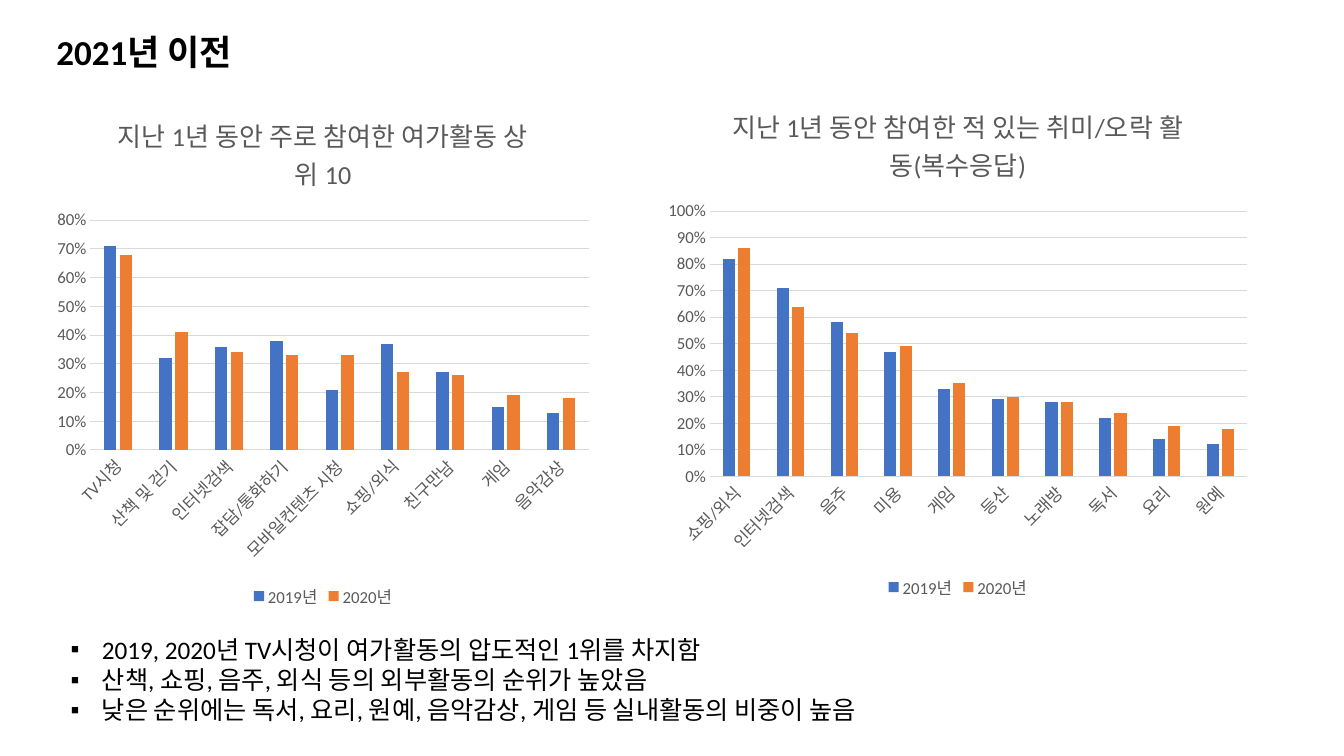
from lxml.etree import SubElement
from pptx import Presentation
from pptx.chart.data import CategoryChartData
from pptx.dml.color import RGBColor
from pptx.enum.chart import XL_CHART_TYPE as ChartType
from pptx.enum.chart import XL_LEGEND_POSITION as LegendPosition
from pptx.enum.chart import XL_TICK_MARK as TickMark
from pptx.enum.text import MSO_ANCHOR as Anchor
from pptx.enum.text import MSO_AUTO_SIZE as AutoSize
from pptx.enum.text import PP_ALIGN as Align
from pptx.oxml.ns import qn
from pptx.util import Inches, Pt

FONT = "Calibri"
BLACK, GRAY, RULE = "000000", "595959", "D9D9D9"
SERIES_COLORS = ["4472C4", "ED7D31"]

LEISURE = {
    "TV시청": (0.71, 0.68),
    "산책 및 걷기": (0.32, 0.41),
    "인터넷검색": (0.36, 0.34),
    "잡담/통화하기": (0.38, 0.33),
    "모바일컨텐츠 시청": (0.21, 0.33),
    "쇼핑/외식": (0.37, 0.27),
    "친구만남": (0.27, 0.26),
    "게임": (0.15, 0.19),
    "음악감상": (0.13, 0.18),
}
HOBBIES = {
    "쇼핑/외식": (0.82, 0.86),
    "인터넷검색": (0.71, 0.64),
    "음주": (0.58, 0.54),
    "미용": (0.47, 0.49),
    "게임": (0.33, 0.35),
    "등산": (0.29, 0.3),
    "노래방": (0.28, 0.28),
    "독서": (0.22, 0.24),
    "요리": (0.14, 0.19),
    "원예": (0.12, 0.18),
}
FINDINGS = [
    "2019, 2020년 TV시청이 여가활동의 압도적인 1위를 차지함",
    "산책, 쇼핑, 음주, 외식 등의 외부활동의 순위가 높았음",
    "낮은 순위에는 독서, 요리, 원예, 음악감상, 게임 등 실내활동의 비중이 높음",
]


def rgb(color):
    return RGBColor.from_string(color)


def set_font(font, size, color, bold=False):
    font.name = FONT
    font.size = Pt(size)
    font.bold = bold
    font.color.rgb = rgb(color)


def set_line(line, color):
    line.color.rgb = rgb(color)
    line.width = Pt(0.75)


def fill_placeholder(box, area, lines, size, bold=False):
    box.left, box.top, box.width, box.height = map(Inches, area)
    frame = box.text_frame
    frame.text = "\n".join(lines)
    frame.word_wrap = False
    frame.auto_size = AutoSize.NONE
    frame.vertical_anchor = Anchor.TOP
    for para in frame.paragraphs:
        para.alignment = Align.LEFT
        para.space_before = Pt(0)
        para.line_spacing = 1.0
        set_font(para.font, size, BLACK, bold)


def add_bullets(frame):
    for para in frame.paragraphs:
        properties = para._p.get_or_add_pPr()
        properties.set("marL", str(Inches(0.31)))
        properties.set("indent", str(Inches(-0.31)))
        bullet = SubElement(properties, qn("a:buChar"))
        bullet.set("char", "▪")
        properties.insert_element_before(bullet, "a:tabLst", "a:defRPr")


def format_axes(chart, top_value):
    categories, values = chart.category_axis, chart.value_axis
    for axis in (categories, values):
        axis.major_tick_mark = axis.minor_tick_mark = TickMark.NONE
        set_font(axis.tick_labels.font, 12, GRAY)
    set_line(categories.format.line, RULE)
    categories._element.txPr.find(qn("a:bodyPr")).set("rot", "-2700000")
    values.minimum_scale, values.maximum_scale = 0, top_value
    values.major_unit = 0.1
    values.format.line.fill.background()
    values.tick_labels.number_format = "0%"
    values.tick_labels.number_format_is_linked = False
    set_line(values.major_gridlines.format.line, RULE)


def add_survey_chart(slide, area, title, answers, top_value):
    data = CategoryChartData(number_format="0%")
    data.categories = list(answers)
    for year, shares in zip(("2019년", "2020년"), zip(*answers.values())):
        data.add_series(year, shares)
    chart = slide.shapes.add_chart(
        ChartType.COLUMN_CLUSTERED, *map(Inches, area), data
    ).chart
    set_font(chart.font, 10, BLACK)

    chart.has_title = True
    chart.chart_title.include_in_layout = False
    heading = chart.chart_title.text_frame
    heading.text = title
    set_font(heading.paragraphs[0].font, 18.6, GRAY)

    chart.has_legend = True
    chart.legend.position = LegendPosition.BOTTOM
    chart.legend.include_in_layout = False
    set_font(chart.legend.font, 12, GRAY)

    plot = chart.plots[0]
    plot.gap_width, plot.overlap = 219, -27
    plot.vary_by_categories = False
    for series, color in zip(plot.series, SERIES_COLORS):
        series.format.fill.solid()
        series.format.fill.fore_color.rgb = rgb(color)
    format_axes(chart, top_value)


def main():
    deck = Presentation()
    deck.slide_width, deck.slide_height = Inches(13.33), Inches(7.5)
    slide = deck.slides.add_slide(deck.slide_layouts[1])
    title, body = slide.placeholders

    fill_placeholder(title, (0.46, 0.25, 2.04, 0.52), ["2021년 이전"], 25, True)
    fill_placeholder(body, (0.6, 6.24, 8.67, 1.01), FINDINGS, 18)
    add_bullets(body.text_frame)

    add_survey_chart(slide, (0.46, 0.92, 5.49, 5.16),
                     "지난 1년 동안 주로 참여한 여가활동 상위 10", LEISURE, 0.8)
    add_survey_chart(slide, (6.51, 0.83, 5.98, 5.16),
                     "지난 1년 동안 참여한 적 있는 취미/오락 활동(복수응답)", HOBBIES, 1)
    deck.save("out.pptx")


if __name__ == "__main__":
    main()
